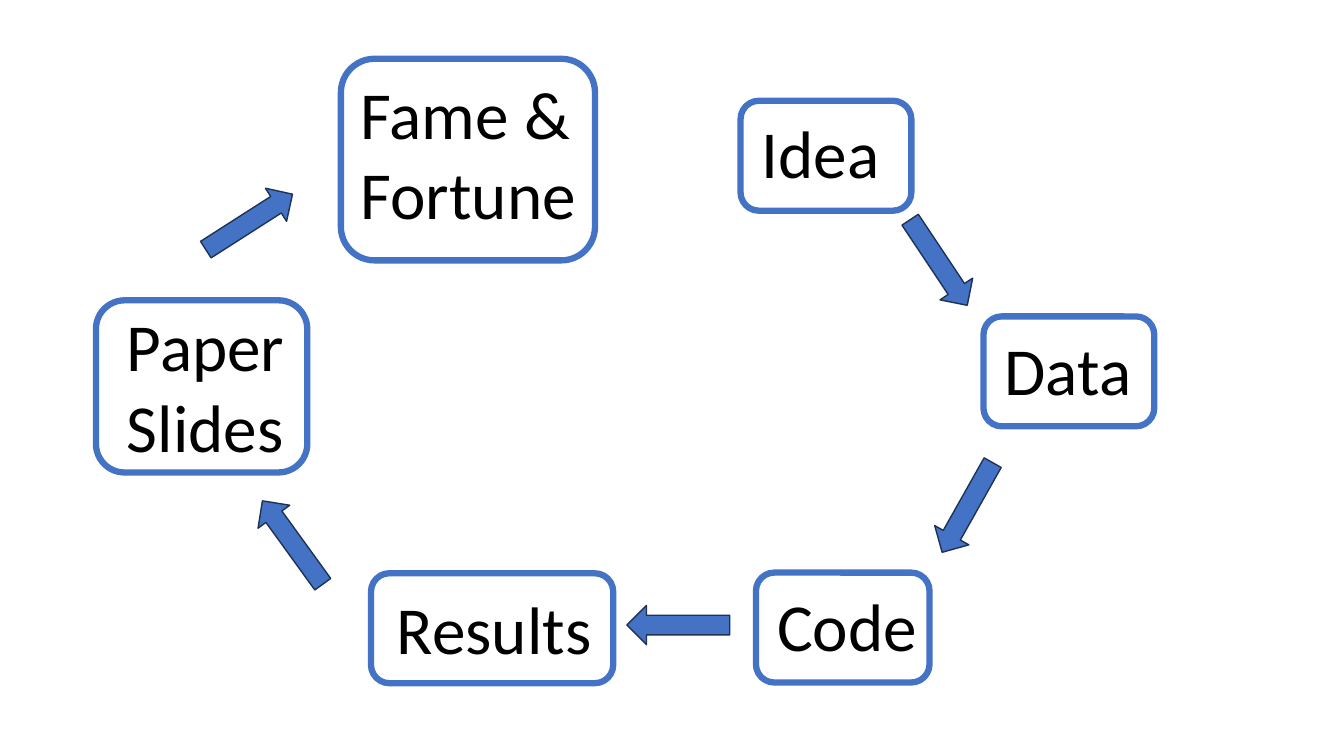
from dataclasses import dataclass

from pptx import Presentation
from pptx.dml.color import RGBColor
from pptx.enum.shapes import MSO_SHAPE as Preset
from pptx.enum.text import MSO_AUTO_SIZE as AutoSize
from pptx.util import Pt


@dataclass(frozen=True)
class Theme:
    accent: RGBColor = RGBColor(0x44, 0x72, 0xC4)
    arrow_edge: RGBColor = RGBColor(0x1E, 0x32, 0x56)
    ink: RGBColor = RGBColor(0, 0, 0)
    font: str = "Calibri"
    label_size: float = 48
    frame_line: float = 4.5
    arrow_line: float = 1
    arrow_width: float = 73.5
    arrow_height: float = 28


class Painter:
    def __init__(self, page, theme):
        self.page = page
        self.theme = theme

    def label(self, shapes, lines, left, top, width, height):
        box = shapes.add_textbox(Pt(left), Pt(top), Pt(width), Pt(height))
        frame = box.text_frame
        frame.word_wrap = False
        frame.auto_size = AutoSize.SHAPE_TO_FIT_TEXT
        frame.text = "\n".join(lines)
        for para in frame.paragraphs:
            para.font.name = self.theme.font
            para.font.size = Pt(self.theme.label_size)
            para.font.color.rgb = self.theme.ink

    def frame(self, shapes, left, top, width, height):
        box = shapes.add_shape(Preset.ROUNDED_RECTANGLE,
                               Pt(left), Pt(top), Pt(width), Pt(height))
        box.shadow.inherit = False
        box.fill.background()
        box.line.color.rgb = self.theme.accent
        box.line.width = Pt(self.theme.frame_line)

    def stage(self, lines, label_place, frame_place):
        """Group a label with the rounded frame around it."""
        group = self.page.shapes.add_group_shape()
        self.label(group.shapes, lines, *label_place)
        self.frame(group.shapes, *frame_place)

    def arrow(self, center_x, center_y, angle):
        width, height = self.theme.arrow_width, self.theme.arrow_height
        arrow = self.page.shapes.add_shape(
            Preset.RIGHT_ARROW, Pt(center_x - width / 2),
            Pt(center_y - height / 2), Pt(width), Pt(height))
        arrow.rotation = angle
        arrow.shadow.inherit = False
        arrow.fill.solid()
        arrow.fill.fore_color.rgb = self.theme.accent
        arrow.line.color.rgb = self.theme.arrow_edge
        arrow.line.width = Pt(self.theme.arrow_line)


# Lines of text, then left, top, width, height of the label and of the frame
STAGES = [
    (["Idea"], (537, 76, 99.5, 65.5), (529, 72, 122, 78.5)),
    (["Data"], (710.5, 231, 106, 65.5), (702.5, 226, 122, 78.5)),
    (["Code"], (548, 414, 116, 65.5), (540, 409, 124, 78.5)),
    (["Results"], (276.5, 416, 155, 65.5), (265, 409.5, 173, 78.5)),
    (["Paper", "Slides"], (83.5, 214, 128, 124), (68.5, 214.5, 151, 123)),
    (["Fame &", "Fortune"], (250.5, 48, 170, 124), (243.5, 42, 181.5, 144)),
]
# Center and clockwise angle
ARROWS = [
    (670.5, 187.5, 56.3),
    (691, 362.5, 119.4),
    (484.5, 446.5, 180),
    (209, 387.5, 234.1),
    (178, 158.5, 327.4),
]


def main():
    deck = Presentation()
    deck.slide_width, deck.slide_height = Pt(960), Pt(540)
    blank_layout = deck.slide_layouts[6]
    painter = Painter(deck.slides.add_slide(blank_layout), Theme())
    for stage in STAGES:
        painter.stage(*stage)
    for arrow in ARROWS:
        painter.arrow(*arrow)
    deck.save("out.pptx")


if __name__ == "__main__":
    main()
